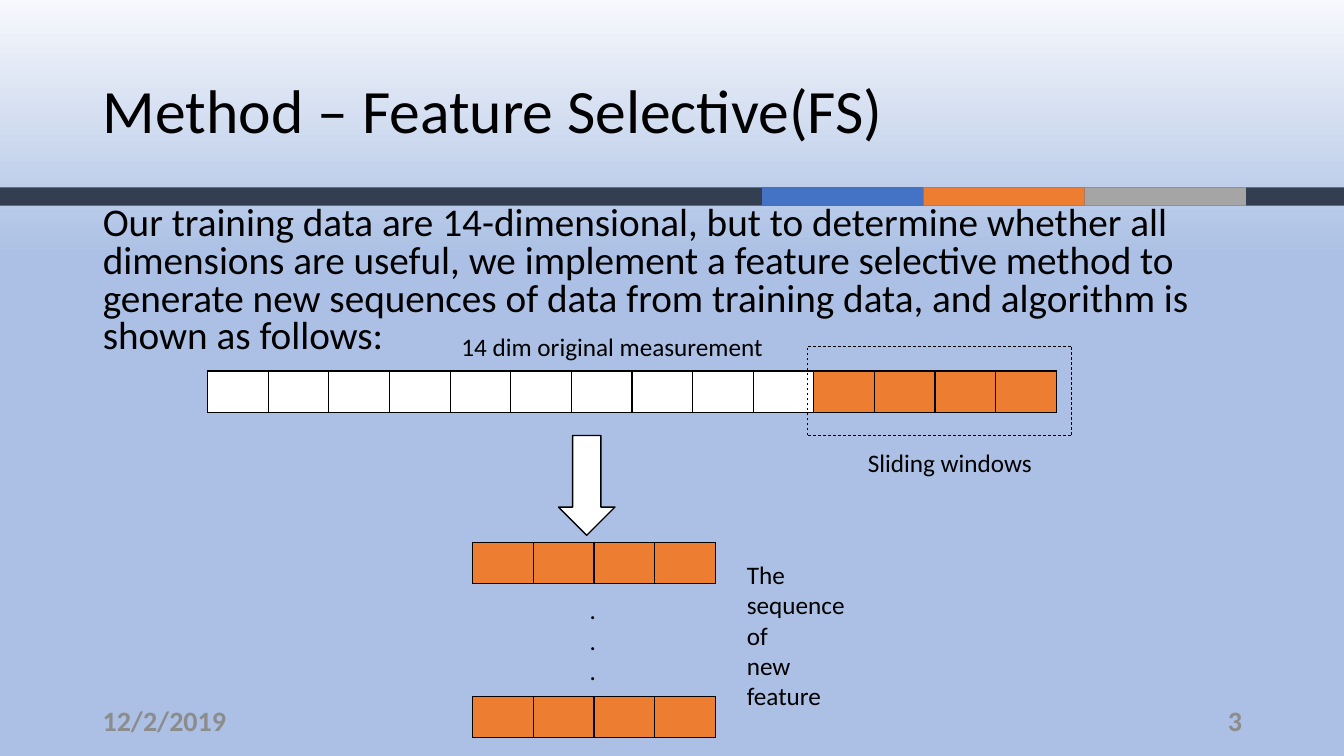
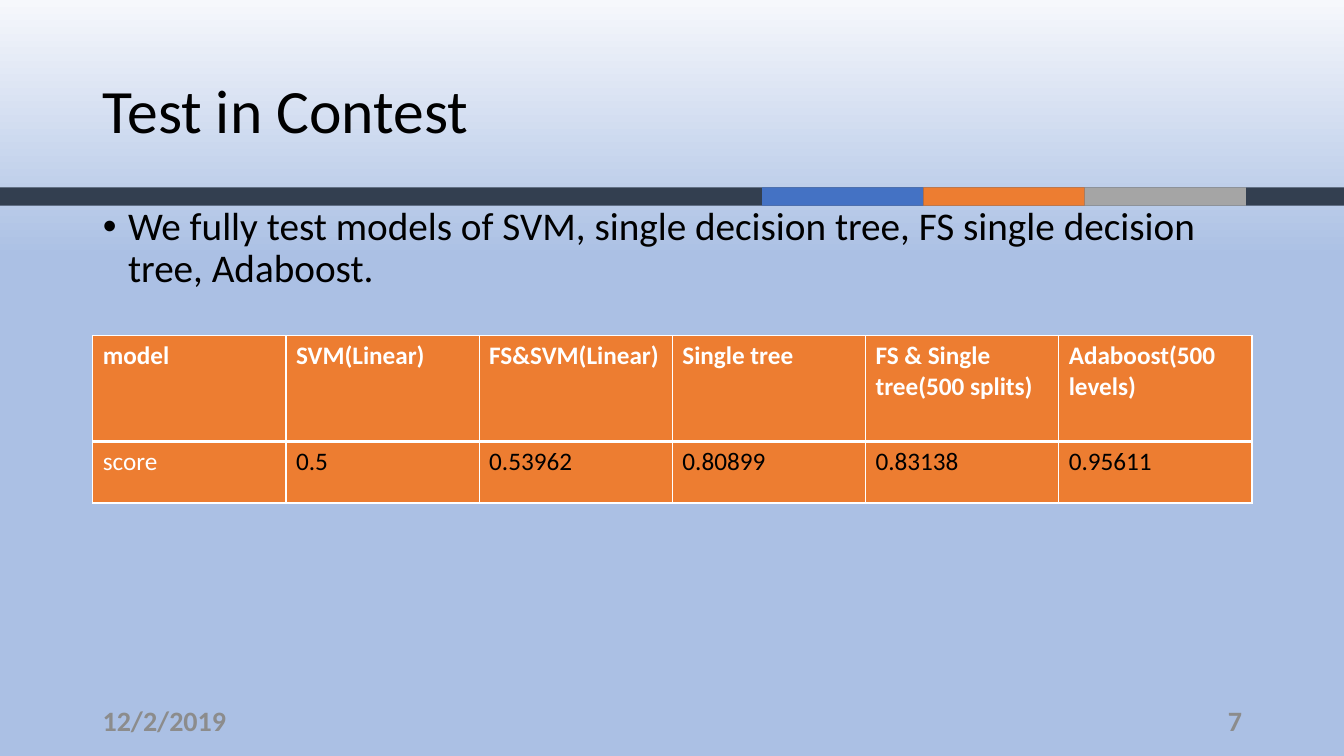
from lxml import etree
from pptx import Presentation
from pptx.dml.color import RGBColor
from pptx.enum.dml import MSO_LINE
from pptx.enum.shapes import MSO_CONNECTOR, MSO_SHAPE
from pptx.enum.text import MSO_ANCHOR, MSO_AUTO_SIZE, PP_ALIGN
from pptx.oxml.ns import qn
from pptx.util import Inches, Pt

RECTANGLE, DOWN_ARROW = MSO_SHAPE.RECTANGLE, MSO_SHAPE.DOWN_ARROW
STRAIGHT, DASH = MSO_CONNECTOR.STRAIGHT, MSO_LINE.DASH
LEFT, RIGHT = PP_ALIGN.LEFT, PP_ALIGN.RIGHT
TOP, MIDDLE = MSO_ANCHOR.TOP, MSO_ANCHOR.MIDDLE
NO_AUTOFIT = MSO_AUTO_SIZE.NONE

COLORS = {
    "sky": "F6F8FC", "ground": "ABC0E4", "navy": "333F50", "blue": "4472C4",
    "orange": "ED7D31", "silver": "A5A5A5", "grey": "8C8C8C",
    "black": "000000", "white": "FFFFFF",
}
FONT = "Calibri"
MARGIN, CONTENT = 6.9, 86.25
BAND_TOP, BAND_HEIGHT, ACCENT_LEFT, ACCENT_WIDTH = 24.8, 2.4, 56.7, 12
FOOTER_TOP, FOOTER_WIDTH, FOOTER_HEIGHT = 92.67, 22.5, 5.33
CELL_WIDTH, CELL_HEIGHT = 4.51, 5.47


def color(name):
    return RGBColor.from_string(COLORS[name])


class Deck:
    """Shared style and current slide; lengths are percentages of the slide's size."""

    def __init__(self):
        self.file = Presentation()
        self.file.slide_width, self.file.slide_height = Inches(13.33), Inches(7.5)
        self.slide = None

    def x(self, share):
        return round(self.file.slide_width * share / 100)

    def y(self, share):
        return round(self.file.slide_height * share / 100)

    def box(self, left, top, width, height):
        return self.x(left), self.y(top), self.x(width), self.y(height)

    def format(self, frame, size, tint="black", bold=False, align=LEFT, spacing=None):
        for paragraph in frame.paragraphs:
            paragraph.alignment = align
            if spacing:
                paragraph.line_spacing = spacing
            for run in paragraph.runs:
                run.font.name, run.font.size, run.font.bold = FONT, Pt(size), bold
                run.font.color.rgb = color(tint)

    def start(self, title, date, number):
        self.slide = self.file.slides.add_slide(self.file.slide_layouts[1])
        fill = self.slide.background.fill
        fill.gradient()
        fill.gradient_angle = 270
        for stop, (tint, position) in zip(fill.gradient_stops, (("sky", 0), ("ground", 0.34))):
            stop.color.rgb, stop.position = color(tint), position
        self.shape(RECTANGLE, 0, BAND_TOP, 100, BAND_HEIGHT, "navy")
        for i, accent in enumerate(("blue", "orange", "silver")):
            self.shape(RECTANGLE, ACCENT_LEFT + i * ACCENT_WIDTH, BAND_TOP,
                       ACCENT_WIDTH, BAND_HEIGHT, accent)
        frame = self.placeholder(0, title, 5.33, 19.33, MIDDLE)
        self.format(frame, 44, spacing=0.9)
        number_left = MARGIN + CONTENT - FOOTER_WIDTH
        for text, left, align in ((date, MARGIN, LEFT), (number, number_left, RIGHT)):
            self.text(text, left, FOOTER_TOP, FOOTER_WIDTH, FOOTER_HEIGHT,
                      20, "grey", True, align, MIDDLE)

    def placeholder(self, index, text, top, height, anchor):
        holder = self.slide.placeholders[index]
        holder.left, holder.top, holder.width, holder.height = self.box(
            MARGIN, top, CONTENT, height)
        frame = holder.text_frame
        frame.text = text
        frame.word_wrap, frame.auto_size, frame.vertical_anchor = True, NO_AUTOFIT, anchor
        return frame

    def body(self, text, height, spacing, bullet=None):
        frame = self.placeholder(1, text, 26.67, height, TOP)
        self.format(frame, 28, spacing=spacing)
        indent = Inches(0.25) if bullet else 0
        for paragraph in frame.paragraphs:
            paragraph.space_before = Pt(10)
            properties = paragraph._p.get_or_add_pPr()
            properties.set("marL", str(indent))
            properties.set("indent", str(-indent))
            if bullet:
                etree.SubElement(properties, qn("a:buChar")).set("char", bullet)
            else:
                etree.SubElement(properties, qn("a:buNone"))

    def text(self, text, left, top, width, height, size=18, tint="black",
             bold=False, align=LEFT, anchor=TOP):
        frame = self.slide.shapes.add_textbox(*self.box(left, top, width, height)).text_frame
        frame.text = text
        frame.word_wrap, frame.vertical_anchor = True, anchor
        self.format(frame, size, tint, bold, align)

    def shape(self, preset, left, top, width, height, tint, outline=None):
        shape = self.slide.shapes.add_shape(preset, *self.box(left, top, width, height))
        shape.shadow.inherit = False
        shape.fill.solid()
        shape.fill.fore_color.rgb = color(tint)
        if outline:
            shape.line.color.rgb, shape.line.width = color(outline), Pt(1)
        else:
            shape.line.fill.background()

    def dashed_window(self, left, top, right, bottom):
        corners = [(left, top), (right, top), (right, bottom), (left, bottom)]
        for start, end in zip(corners, corners[1:] + corners[:1]):
            edge = self.slide.shapes.add_connector(
                STRAIGHT, self.x(start[0]), self.y(start[1]), self.x(end[0]), self.y(end[1]))
            edge.line.color.rgb, edge.line.width = color("black"), Pt(0.5)
            edge.line.dash_style = DASH
            etree.SubElement(edge.element.spPr, qn("a:effectLst"))

    def grid(self, left, top, width, heights, columns):
        table = self.slide.shapes.add_table(
            len(heights), columns, *self.box(left, top, width, sum(heights))).table
        table.first_row = table.horz_banding = False
        for column in table.columns:
            column.width = self.x(width / columns)
        for row, height in zip(table.rows, heights):
            row.height = self.y(height)
        return table

    def cell(self, cell, tint, border, **widths):
        properties = cell._tc.get_or_add_tcPr()
        for side in "LRTB":
            line = etree.SubElement(properties, qn("a:ln" + side))
            line.set("w", str(Pt(widths.get(side, 1))))
            fill = etree.SubElement(line, qn("a:solidFill"))
            etree.SubElement(fill, qn("a:srgbClr")).set("val", COLORS[border])
        cell.fill.solid()
        cell.fill.fore_color.rgb = color(tint)

    def strip(self, left, top, tints):
        table = self.grid(left, top, CELL_WIDTH * len(tints), [CELL_HEIGHT], len(tints))
        for cell, tint in zip(table.iter_cells(), tints):
            self.cell(cell, tint, "black")

    def scores(self, top, heights, rows):
        table = self.grid(MARGIN, top, CONTENT, heights, len(rows[0]))
        for r, row in enumerate(rows):
            for c, text in enumerate(row):
                cell = table.cell(r, c)
                header = r == 0
                self.cell(cell, "orange", "white",
                          B=3 if header else 1, T=1 if header else 3)
                cell.text_frame.text = text
                self.format(cell.text_frame, 18,
                            "white" if header or c == 0 else "black", header)


def main():
    deck = Deck()
    date = "12/2/2019"

    deck.start("Method – Feature Selective(FS)", date, "3")
    deck.body("Our training data are 14-dimensional, but to determine whether all "
              "dimensions are useful, we implement a feature selective method to "
              "generate new sequences of data from training data, and algorithm is "
              "shown as follows:", 21.47, 0.8)
    measurement_left, measurement_top = 15.45, 49.07
    selected = ["orange"] * 4
    deck.strip(measurement_left + 4 * CELL_WIDTH, measurement_top, ["white"] * 6 + selected)
    deck.strip(measurement_left, measurement_top, ["white"] * 4)
    deck.text("14 dim original measurement", 33.6, 43.2, 24.46, 5.33)
    deck.dashed_window(60.1, 45.87, 79.7, 57.6)
    deck.text("Sliding windows", 63.84, 58.53, 14.1, 5.33)
    deck.shape(DOWN_ARROW, 41.56, 57.6, 4.2, 13.2, "white", "black")
    for feature_top in (71.73, 92.13):
        deck.strip(35.18, feature_top, selected)
    deck.text(".\n.\n.", 43.13, 78, 2.93, 13.47)
    deck.text("The\nsequence\nof\nnew\nfeature", 54.83, 73.33, 10.5, 21.6)

    deck.start("Test in Contest", date, "7")
    deck.body("We fully test models of SVM, single decision tree, FS single decision "
              "tree, Adaboost.", 63.47, 0.9, "•")
    deck.scores(44.4, [14, 8.13], [
        ["model", "SVM(Linear)", "FS&SVM(Linear)", "Single tree",
         "FS & Single tree(500 splits)", "Adaboost(500 levels)"],
        ["score", "0.5", "0.53962", "0.80899", "0.83138", "0.95611"],
    ])

    deck.file.save("out.pptx")


if __name__ == "__main__":
    main()
